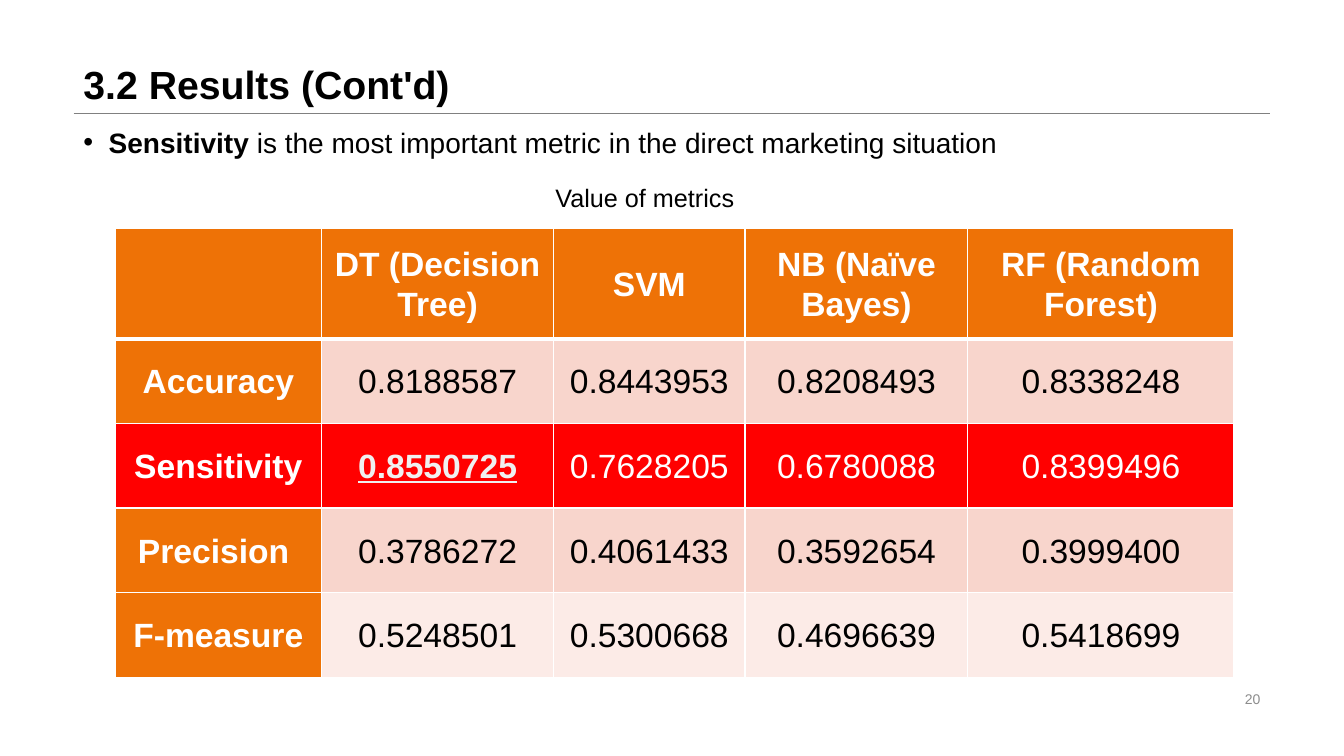
from dataclasses import dataclass

import pptx
import pptx.dml.color
import pptx.enum.shapes
import pptx.enum.text
import pptx.oxml
import pptx.oxml.ns
import pptx.util
from pptx.util import Inches

ALIGN = pptx.enum.text.PP_ALIGN
ANCHOR = pptx.enum.text.MSO_ANCHOR


@dataclass(frozen=True)
class Theme:
    font: str = "Arial"
    black: str = "000000"
    white: str = "FFFFFF"
    off_white: str = "F0F0F0"
    rule: str = "808080"
    muted: str = "8C8C8C"
    orange: str = "EE7206"
    red: str = "FF0000"
    band_dark: str = "F8D5CC"
    band_light: str = "FCEBE7"
    title_size: int = 28
    table_size: int = 24
    body_size: int = 20
    caption_size: int = 18
    number_size: int = 10


THEME = Theme()

MODELS = ["", "DT (Decision Tree)", "SVM", "NB (Naïve Bayes)", "RF (Random Forest)"]
METRICS = [
    ("Accuracy", "0.8188587", "0.8443953", "0.8208493", "0.8338248"),
    ("Sensitivity", "0.8550725", "0.7628205", "0.6780088", "0.8399496"),
    ("Precision ", "0.3786272", "0.4061433", "0.3592654", "0.3999400"),
    ("F-measure", "0.5248501", "0.5300668", "0.4696639", "0.5418699"),
]
BANDS = [THEME.band_dark, THEME.red, THEME.band_dark, THEME.band_light]
KEY_METRIC = "Sensitivity"
BEST_SENSITIVITY = "0.8550725"
COLUMN_WIDTHS = [2.05, 2.3, 1.9, 2.21, 2.64]
HEADER_HEIGHT, METRIC_HEIGHT = 1.09, 0.84


def rgb(value):
    return pptx.dml.color.RGBColor.from_string(value)


def write(paragraph, text, *, size, color=THEME.black, bold=False,
          underline=False, align=ALIGN.LEFT, spacing=1.0):
    """Append a formatted run to the paragraph."""
    paragraph.alignment = align
    paragraph.line_spacing = spacing
    run = paragraph.add_run()
    run.text = text
    run.font.name = THEME.font
    run.font.size = pptx.util.Pt(size)
    run.font.bold = bold
    run.font.underline = underline
    run.font.color.rgb = rgb(color)


def add_text_area(slide, left, top, width, height, anchor=ANCHOR.TOP):
    """Add a wrapping text box and return its first paragraph."""
    box = slide.shapes.add_textbox(
        Inches(left), Inches(top), Inches(width), Inches(height))
    box.text_frame.word_wrap = True
    box.text_frame.vertical_anchor = anchor
    return box.text_frame.paragraphs[0]


def add_bullet(paragraph, indent):
    properties = paragraph._p.get_or_add_pPr()
    properties.set("marL", str(Inches(indent)))
    properties.set("indent", str(-Inches(indent)))
    namespace = pptx.oxml.ns.nsdecls("a")
    for tag in (f'<a:buFont {namespace} typeface="{THEME.font}"/>',
                f'<a:buChar {namespace} char="•"/>'):
        properties.append(pptx.oxml.parse_xml(tag))


def add_title_rule(slide):
    rule = slide.shapes.add_connector(
        pptx.enum.shapes.MSO_CONNECTOR.STRAIGHT,
        Inches(0.73), Inches(1.12), Inches(12.6), Inches(1.12))
    rule.line.color.rgb = rgb(THEME.rule)
    rule.line.width = pptx.util.Pt(0.25)
    rule._element.spPr.append(pptx.oxml.parse_xml(
        f'<a:effectLst {pptx.oxml.ns.nsdecls("a")}/>'))


def set_borders(cell, top=1, bottom=1):
    """Draw white borders, with widths in points."""
    properties = cell._tc.get_or_add_tcPr()
    for side, width in (("L", 1), ("R", 1), ("T", top), ("B", bottom)):
        properties.append(pptx.oxml.parse_xml(
            f'<a:ln{side} {pptx.oxml.ns.nsdecls("a")} w="{pptx.util.Pt(width)}">'
            f'<a:solidFill><a:srgbClr val="{THEME.white}"/></a:solidFill>'
            f'</a:ln{side}>'))


def fill_cell(cell, text, fill, top=1, bottom=1, **text_format):
    set_borders(cell, top, bottom)
    cell.fill.solid()
    cell.fill.fore_color.rgb = rgb(fill)
    cell.vertical_anchor = ANCHOR.MIDDLE
    cell.margin_left = cell.margin_right = Inches(0.05)
    cell.margin_top = cell.margin_bottom = Inches(0.05)
    write(cell.text_frame.paragraphs[0], text, size=THEME.table_size,
          align=ALIGN.CENTER, spacing=1.07, **text_format)


def add_metrics_table(slide):
    table = slide.shapes.add_table(
        len(METRICS) + 1, len(MODELS), Inches(1.14), Inches(2.27),
        Inches(sum(COLUMN_WIDTHS)),
        Inches(HEADER_HEIGHT + METRIC_HEIGHT * len(METRICS))).table
    for column, width in zip(table.columns, COLUMN_WIDTHS):
        column.width = Inches(width)
    for index, row in enumerate(table.rows):
        row.height = Inches(METRIC_HEIGHT if index else HEADER_HEIGHT)

    for column, model in enumerate(MODELS):
        fill_cell(table.cell(0, column), model, THEME.orange, bottom=3,
                  color=THEME.white, bold=True)
    for row, ((metric, *values), band) in enumerate(zip(METRICS, BANDS), start=1):
        is_key = metric == KEY_METRIC
        top = 3 if row == 1 else 1
        fill_cell(table.cell(row, 0), metric, band if is_key else THEME.orange,
                  top=top, color=THEME.white, bold=True)
        for column, value in enumerate(values, start=1):
            is_best = value == BEST_SENSITIVITY
            color = THEME.white if is_key else THEME.black
            fill_cell(table.cell(row, column), value, band, top=top,
                      color=THEME.off_white if is_best else color,
                      bold=is_best, underline=is_best)


def main():
    presentation = pptx.Presentation()
    presentation.slide_width = Inches(13.33)
    presentation.slide_height = Inches(7.5)
    slide = presentation.slides.add_slide(presentation.slide_layouts[6])

    add_title_rule(slide)
    title = add_text_area(slide, 0.73, 0, 11.87, 1.12, ANCHOR.BOTTOM)
    write(title, "3.2 Results (Cont'd)", size=THEME.title_size, bold=True, spacing=0.9)

    message = add_text_area(slide, 0.73, 1.23, 11.87, 0.45)
    write(message, "Sensitivity", size=THEME.body_size, bold=True, spacing=0.9)
    write(message, " is the most important metric in the direct marketing situation",
          size=THEME.body_size, spacing=0.9)
    add_bullet(message, 0.25)

    page_number = add_text_area(slide, 9.42, 6.82, 3.18, 0.23, ANCHOR.MIDDLE)
    write(page_number, "20", size=THEME.number_size, color=THEME.muted, align=ALIGN.RIGHT)

    add_metrics_table(slide)
    caption = add_text_area(slide, 5.41, 1.76, 2.51, 0.4)
    write(caption, "Value of metrics", size=THEME.caption_size)

    presentation.save("out.pptx")


if __name__ == "__main__":
    main()
